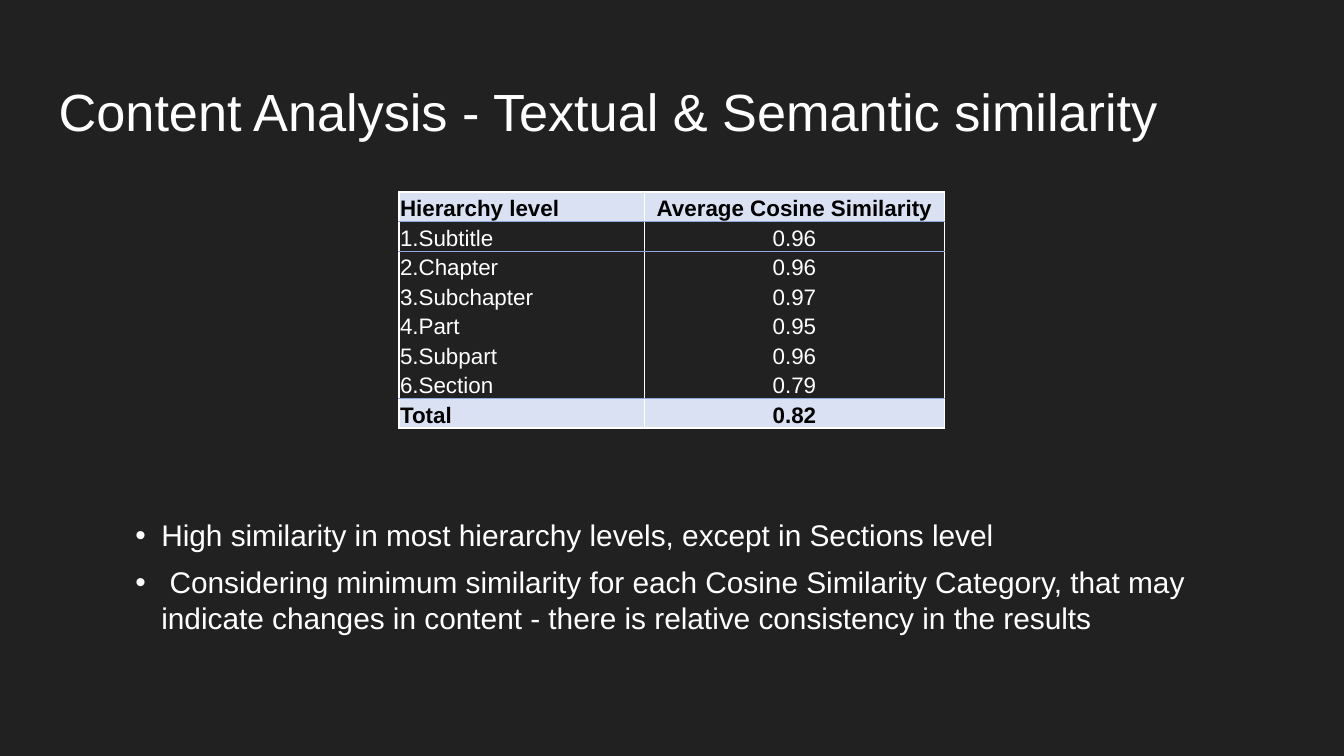
from lxml.etree import SubElement
from pptx import Presentation
from pptx.dml.color import RGBColor
from pptx.enum.text import MSO_ANCHOR as Anchor, MSO_AUTO_SIZE as AutoSize, PP_ALIGN as Align
from pptx.oxml.ns import qn
from pptx.util import Cm, Pt

COLORS = {
    "background": "212121",
    "light": "FFFFFF",
    "dark": "000000",
    "band": "D9E1F2",
    "rule": "8EA9DB",
}
FONT = "Arial"
PLAIN_TABLE_STYLE = "{2D5ABB26-0587-4C30-8999-92F81FD0307C}"

TITLE = "Content Analysis - Textual & Semantic similarity"
SIMILARITY_ROWS = [
    ("Hierarchy level", "Average Cosine Similarity"),
    ("1.Subtitle", "0.96"),
    ("2.Chapter", "0.96"),
    ("3.Subchapter", "0.97"),
    ("4.Part", "0.95"),
    ("5.Subpart", "0.96"),
    ("6.Section", "0.79"),
    ("Total", "0.82"),
]
FINDINGS = [
    "High similarity in most hierarchy levels, except in Sections level",
    " Considering minimum similarity for each Cosine Similarity Category, "
    "that may indicate changes in content - there is relative consistency in the results",
]


def rgb(name):
    return RGBColor.from_string(COLORS[name])


def add_bullet(paragraph, indent):
    properties = paragraph._p.get_or_add_pPr()
    properties.set("marL", str(indent))
    properties.set("indent", str(-indent))
    color = SubElement(properties, qn("a:buClr"))
    SubElement(color, qn("a:srgbClr"), val=COLORS["light"])
    SubElement(properties, qn("a:buFont"), typeface=FONT)
    SubElement(properties, qn("a:buChar"), char="•")


def write(paragraph, text, size=12, color="light", bold=False, align=Align.LEFT,
          space_after=None, bullet_indent=None):
    paragraph.alignment = align
    if space_after is not None:
        paragraph.space_after = Pt(space_after)
    if bullet_indent is not None:
        add_bullet(paragraph, bullet_indent)
    run = paragraph.add_run()
    run.text = text
    run.font.name = FONT
    run.font.size = Pt(size)
    run.font.bold = bold
    run.font.color.rgb = rgb(color)


def set_border(cell, side, color, width):
    line = SubElement(cell._tc.get_or_add_tcPr(), qn(f"a:ln{side}"), w=str(Pt(width)))
    fill = SubElement(line, qn("a:solidFill"))
    SubElement(fill, qn("a:srgbClr"), val=COLORS[color])


def fill_title(slide, left, top, width, height):
    title = slide.shapes.title
    title.left, title.top, title.width, title.height = left, top, width, height
    frame = title.text_frame
    frame.auto_size = AutoSize.NONE
    frame.vertical_anchor = Anchor.TOP
    frame.margin_left = frame.margin_right = Cm(0.25)
    frame.margin_top = frame.margin_bottom = Cm(0.25)
    write(frame.paragraphs[0], TITLE, size=28)


def format_cell(cell, text, row, column):
    last = len(SIMILARITY_ROWS) - 1
    is_band = row in (0, last)
    cell.vertical_anchor = Anchor.BOTTOM
    cell.margin_left = cell.margin_right = cell.margin_top = Cm(0.02)
    cell.margin_bottom = 0
    write(cell.text_frame.paragraphs[0], text, bold=is_band,
          color="dark" if is_band else "light",
          align=Align.CENTER if column else Align.LEFT)

    # White frame and column lines, thin rules beside the header and total
    set_border(cell, "L", "light", 1)
    set_border(cell, "R", "light", 1)
    if row == 0:
        set_border(cell, "T", "light", 1)
    elif row in (1, last):
        set_border(cell, "T", "rule", 0.5)
    if row == last:
        set_border(cell, "B", "light", 1)
    elif row in (0, last - 1):
        set_border(cell, "B", "rule", 0.5)

    if is_band:
        cell.fill.solid()
        cell.fill.fore_color.rgb = rgb("band")
    else:
        cell.fill.background()


def add_similarity_table(slide, left, top, width, height):
    count = len(SIMILARITY_ROWS)
    table = slide.shapes.add_table(count, 2, left, top, width, height).table
    table.first_row = table.horz_banding = False
    table._tbl.tblPr.find(qn("a:tableStyleId")).text = PLAIN_TABLE_STYLE
    table.columns[0].width = int(width * 0.45)
    table.columns[1].width = width - table.columns[0].width
    for row, values in enumerate(SIMILARITY_ROWS):
        table.rows[row].height = height // count
        for column, text in enumerate(values):
            format_cell(table.cell(row, column), text, row, column)


def add_findings(slide, left, top, width, height):
    frame = slide.shapes.add_textbox(left, top, width, height).text_frame
    frame.word_wrap = True
    frame.auto_size = AutoSize.SHAPE_TO_FIT_TEXT
    for index, text in enumerate(FINDINGS):
        paragraph = frame.add_paragraph() if index else frame.paragraphs[0]
        write(paragraph, text, size=16, space_after=6, bullet_indent=Cm(0.49))


def main():
    presentation = Presentation()
    presentation.slide_width = Cm(25.4)
    presentation.slide_height = Cm(14.29)
    slide = presentation.slides.add_slide(presentation.slide_layouts[5])
    slide.background.fill.solid()
    slide.background.fill.fore_color.rgb = rgb("background")

    fill_title(slide, Cm(0.86), Cm(1.24), Cm(23.67), Cm(2.84))
    add_findings(slide, Cm(2.31), Cm(9.65), Cm(21.77), Cm(2.51))
    add_similarity_table(slide, Cm(7.54), Cm(3.63), Cm(10.31), Cm(4.47))

    presentation.save("out.pptx")


if __name__ == "__main__":
    main()
